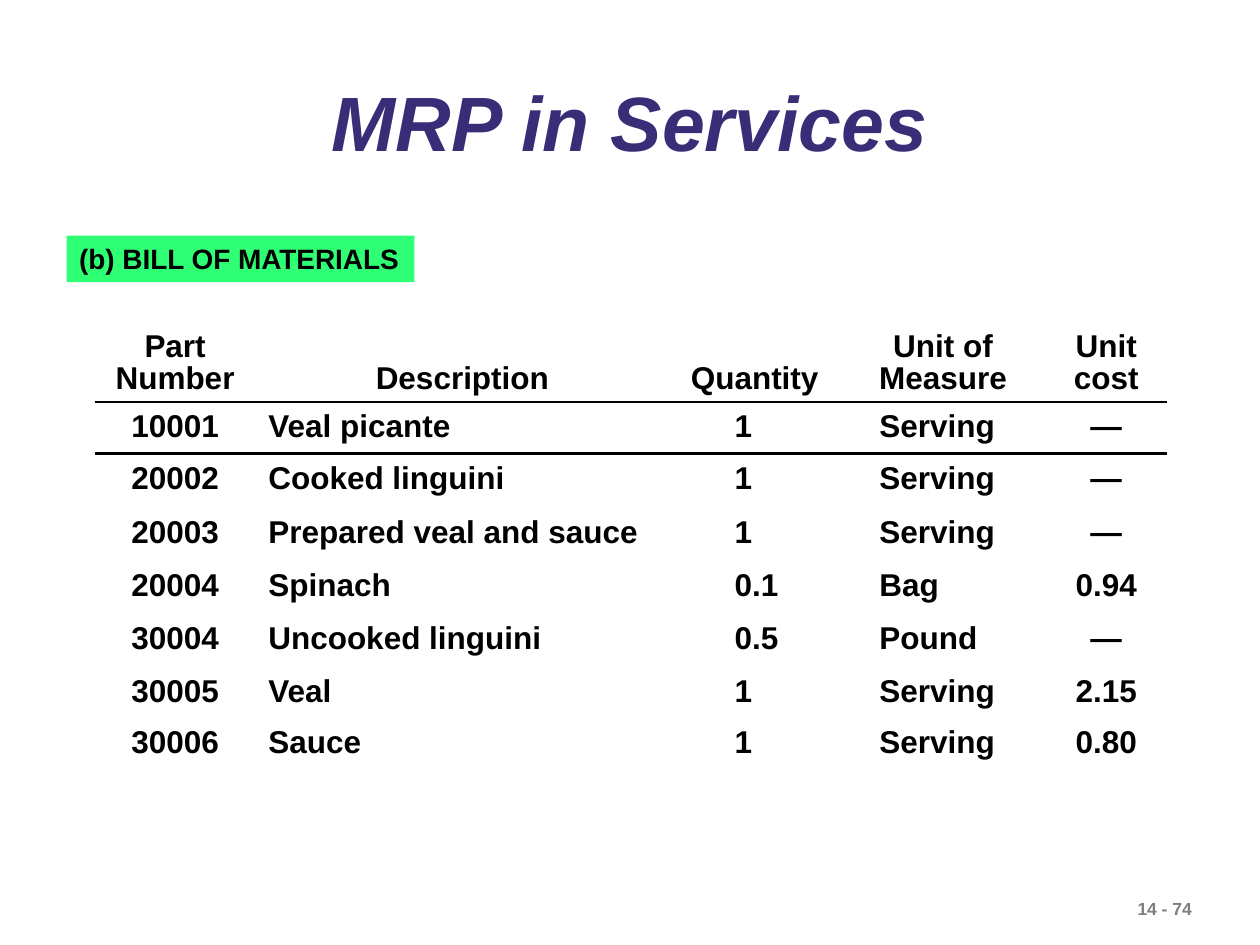
from pptx import Presentation
from pptx.dml.color import RGBColor
from pptx.enum.shapes import MSO_SHAPE
from pptx.enum.text import MSO_ANCHOR, MSO_AUTO_SIZE, PP_ALIGN
from pptx.oxml.ns import qn
from pptx.util import Inches, Pt
from lxml.etree import SubElement

THEME = {
    "font": "Arial",
    "title": (44, "3A2C76"),
    "label": (16, "000000"),
    "body": (18, "000000"),
    "number": (10, "7F7F7F"),
    "label_fill": "2FFF74",
    "rule": "000000",
    "rule_pt": 1.5,
    "plain_table": "{2D5ABB26-0587-4C30-8999-92F81FD0307C}",
}

TITLE = "MRP in Services"
LABEL = "(b) BILL OF MATERIALS"
PAGE = "14 - 74"
COLUMNS = [
    ("Part Number", 1.28, PP_ALIGN.CENTER, None),
    ("Description", 3.28, PP_ALIGN.LEFT, None),
    ("Quantity", 1.36, PP_ALIGN.LEFT, 0.42),
    ("Unit of Measure", 1.63, PP_ALIGN.LEFT, 0.21),
    ("Unit cost", 0.96, PP_ALIGN.CENTER, None),
]
PARTS = [
    ("10001", "Veal picante", "1", "Serving", "—"),
    ("20002", "Cooked linguini", "1", "Serving", "—"),
    ("20003", "Prepared veal and sauce", "1", "Serving", "—"),
    ("20004", "Spinach", "0.1", "Bag", "0.94"),
    ("30004", "Uncooked linguini", "0.5", "Pound", "—"),
    ("30005", "Veal", "1", "Serving", "2.15"),
    ("30006", "Sauce", "1", "Serving", "0.80"),
]
ROW_HEIGHTS = [0.68, 0.41, 0.42, 0.43, 0.42, 0.42, 0.42, 0.39]


def box(*lengths):
    return [Inches(v) for v in lengths]


def write(tf, text, style, align=PP_ALIGN.LEFT, italic=False):
    size, color = THEME[style]
    p = tf.paragraphs[0]
    p.alignment = align
    r = p.add_run()
    r.text = text
    r.font.name = THEME["font"]
    r.font.size = Pt(size)
    r.font.bold = True
    r.font.italic = italic
    r.font.color.rgb = RGBColor.from_string(color)
    return p


def add_tab(p, inches):
    tabs = SubElement(p._p.get_or_add_pPr(), qn("a:tabLst"))
    SubElement(tabs, qn("a:tab"), pos=str(Inches(inches)), algn="l")


def add_rule(cell, side):
    tc_pr = cell._tc.get_or_add_tcPr()
    ln = SubElement(tc_pr, qn(f"a:{side}"), w=str(Pt(THEME["rule_pt"])))
    fill = SubElement(ln, qn("a:solidFill"))
    SubElement(fill, qn("a:srgbClr"), val=THEME["rule"])
    tc_pr.insert(0, ln)


def fill_cell(cell, text, align, anchor, tab=None):
    cell.fill.background()
    cell.vertical_anchor = anchor
    p = write(cell.text_frame, f"\t{text}" if tab else text, "body", align)
    if tab:
        add_tab(p, tab)
    p.line_spacing = 0.9
    p.space_after = Pt(9)


def add_parts_table(s):
    frame = s.shapes.add_table(len(PARTS) + 1, len(COLUMNS), *box(0.75, 2.51, 8.5, 3.58))
    table = frame.table
    table.first_row = table.horz_banding = False
    table._tbl.tblPr.find(qn("a:tableStyleId")).text = THEME["plain_table"]
    for row, height in zip(table.rows, ROW_HEIGHTS):
        row.height = Inches(height)
    for c, (heading, width, align, tab) in enumerate(COLUMNS):
        table.columns[c].width = Inches(width)
        fill_cell(table.cell(0, c), heading, PP_ALIGN.CENTER, MSO_ANCHOR.BOTTOM)
        for r, part in enumerate(PARTS, 1):
            fill_cell(table.cell(r, c), part[c], align, MSO_ANCHOR.MIDDLE, tab)
        add_rule(table.cell(0, c), "lnB")
        add_rule(table.cell(1, c), "lnT")


def main():
    prs = Presentation()
    prs.slide_width, prs.slide_height = box(10, 7.5)
    s = prs.slides.add_slide(prs.slide_layouts[5])

    title = s.shapes.title
    title.left, title.top, title.width, title.height = box(0.75, 0.51, 8.5, 0.99)
    title.text_frame.vertical_anchor = MSO_ANCHOR.MIDDLE
    p = write(title.text_frame, TITLE, "title", PP_ALIGN.CENTER, italic=True)
    p.line_spacing = 0.9

    label = s.shapes.add_shape(MSO_SHAPE.RECTANGLE, *box(0.53, 1.87, 2.76, 0.37))
    label.shadow.inherit = False
    label.fill.solid()
    label.fill.fore_color.rgb = RGBColor.from_string(THEME["label_fill"])
    label.line.fill.background()
    number = s.shapes.add_textbox(*box(8.93, 7.08, 1.14, 0.27))
    for sp, text, style in ((label, LABEL, "label"), (number, PAGE, "number")):
        tf = sp.text_frame
        tf.word_wrap = False
        tf.auto_size = MSO_AUTO_SIZE.SHAPE_TO_FIT_TEXT
        tf.vertical_anchor = MSO_ANCHOR.TOP
        write(tf, text, style)

    add_parts_table(s)
    prs.save("out.pptx")


if __name__ == "__main__":
    main()
